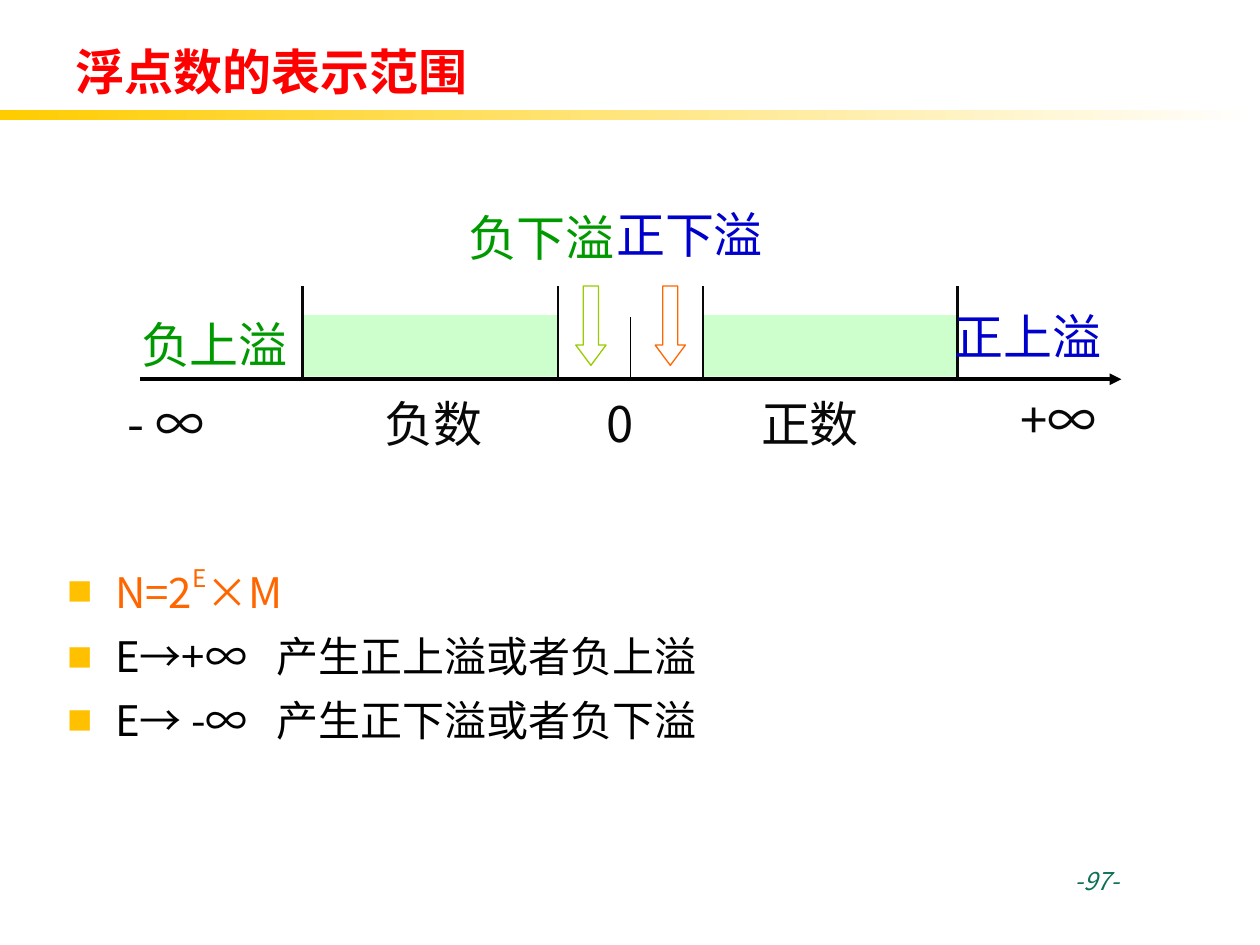
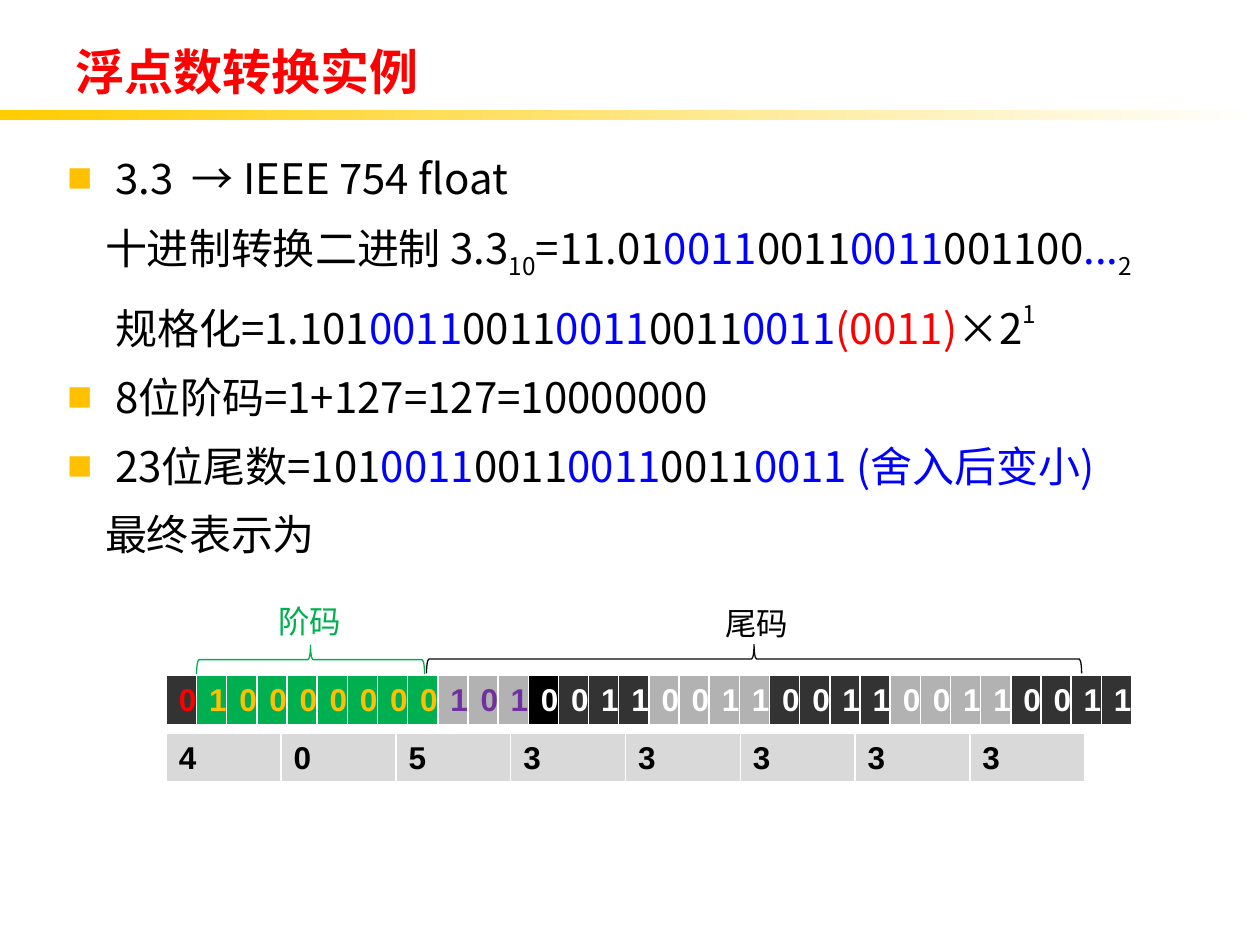
from itertools import chain, repeat
from lxml.etree import SubElement as Sub
from pptx import Presentation as Deck
from pptx.dml.color import RGBColor as Rgb
from pptx.enum.shapes import MSO_CONNECTOR as Link, MSO_SHAPE as Kind
from pptx.enum.text import MSO_ANCHOR as Anchor, PP_ALIGN as Align
from pptx.oxml.ns import qn
from pptx.util import Inches, Pt

HUES = {
    "red": "FF0000", "gold": "FFCC00", "amber": "FFC000", "white": "FFFFFF",
    "black": "000000", "ink": "080808", "orange": "FF6600", "lime": "99CC00",
    "leaf": "009900", "mint": "CCFFCC", "navy": "0000CC", "blue": "0000FF",
    "teal": "0D7157", "green": "00B050", "plum": "7030A0", "dark": "333333",
    "grey": "B2B2B2", "pale": "D9D9D9",
}
FONT = "Noto Sans CJK SC"


def hue(name):
    return Rgb.from_string(HUES[name])


def unit(count):
    """Length of grid steps: 100 columns by 75 rows on the slide."""
    return Inches(count / 10)


def write(par, text, size=28, color="black", font=FONT, bold=False,
          slant=False, base=0, align=None):
    """Add one run of text to a paragraph."""
    if align is not None:
        par.alignment = align
    run = par.add_run()
    run.text = text
    face = run.font
    face.size, face.bold, face.italic = Pt(size), bold, slant
    face.color.rgb = hue(color)
    face.name = font
    props = run._r.get_or_add_rPr()
    Sub(props, qn("a:ea")).set("typeface", font)
    if base:
        props.set("baseline", str(base * 1000))


class Page:
    def __init__(self, deck):
        self.deck = deck

    def start(self, title):
        """Open a slide with its band and title."""
        self.slide = self.deck.slides.add_slide(self.deck.slide_layouts[5])
        self.shapes = self.slide.shapes
        band = self.shape(Kind.RECTANGLE, 0, 8.75, 100, 0.8, fill="gold")
        band.fill.gradient()
        band.fill.gradient_angle = 0
        stops = band.fill.gradient_stops
        for stop, name, pos in zip(stops, ("gold", "white"), (0, 1)):
            stop.color.rgb = hue(name)
            stop.position = pos
        head = self.shapes.title
        head.left, head.top = unit(5), unit(2.4)
        head.width, head.height = unit(90), unit(6.4)
        head.text_frame.vertical_anchor = Anchor.MIDDLE
        write(head.text_frame.paragraphs[0], title, color="red", bold=True,
              align=Align.LEFT)

    def shape(self, kind, x, y, w, h, fill=None, line=None, turn=0):
        item = self.shapes.add_shape(kind, unit(x), unit(y), unit(w), unit(h))
        item.shadow.inherit = False
        item.rotation = turn
        if fill:
            item.fill.solid()
            item.fill.fore_color.rgb = hue(fill)
        else:
            item.fill.background()
        if line:
            item.line.color.rgb = hue(line)
            item.line.width = Pt(0.75)
        else:
            item.line.fill.background()
        return item

    def line(self, x1, y1, x2, y2, width, color="black", arrow=False):
        item = self.shapes.add_connector(
            Link.STRAIGHT, unit(x1), unit(y1), unit(x2), unit(y2))
        item.line.width = Pt(width)
        item.line.color.rgb = hue(color)
        if arrow:
            Sub(item.line._get_or_add_ln(), qn("a:tailEnd")).set("type", "triangle")
        Sub(item._element.spPr, qn("a:effectLst"))

    def frame(self, x, y, w, h, inset=1.0, wrap=True):
        box = self.shapes.add_textbox(unit(x), unit(y), unit(w), unit(h))
        frame = box.text_frame
        frame.word_wrap = wrap
        if inset != 1:
            frame.margin_left = frame.margin_right = unit(inset)
            frame.margin_top = frame.margin_bottom = unit(inset)
        return frame

    def label(self, text, x, y, w, h=4.9, **form):
        """Tight one-line label of the diagram."""
        par = self.frame(x, y, w, h, inset=0.1, wrap=False).paragraphs[0]
        par.line_spacing = 0.8
        write(par, text, **form)

    def note(self, text, x, y, w, h, **form):
        write(self.frame(x, y, w, h).paragraphs[0], text, **form)

    def body(self, x, y, w, h, rows, space):
        """Rows are (indent or None for a bullet, tab or None, runs)."""
        frame = self.frame(x, y, w, h)
        for num, (left, tab, runs) in enumerate(rows):
            par = frame.add_paragraph() if num else frame.paragraphs[0]
            par.line_spacing = space
            par.space_before = Pt(4.8 if num else 0)
            props = par._p.get_or_add_pPr()
            props.set("marL", str(unit(3.8 if left is None else left)))
            if left is None:
                props.set("indent", str(-unit(3.8)))
                tint = Sub(props, qn("a:buClr"))
                Sub(tint, qn("a:srgbClr")).set("val", HUES["amber"])
                Sub(props, qn("a:buFont")).set("typeface", "Arial")
                Sub(props, qn("a:buChar")).set("char", "■")
            else:
                props.set("indent", "0")
                Sub(props, qn("a:buNone"))
            if tab:
                stop = Sub(Sub(props, qn("a:tabLst")), qn("a:tab"))
                stop.set("pos", str(unit(tab)))
                stop.set("algn", "l")
            for text, form in runs:
                write(par, text, size=24, **form)

    def strip(self, x, y, w, h, cells):
        """One-row table; cells are (text, text colour, fill)."""
        grid = self.shapes.add_table(
            1, len(cells), unit(x), unit(y), unit(w), unit(h)).table
        grid.first_row = grid.horz_banding = False
        for num, (text, color, fill) in enumerate(cells):
            grid.columns[num].width = unit(w / len(cells))
            cell = grid.cell(0, num)
            cell.vertical_anchor = Anchor.MIDDLE
            write(cell.text_frame.paragraphs[0], text, size=18, color=color,
                  font="Arial", bold=True, align=Align.LEFT)
            props = cell._tc.get_or_add_tcPr()
            for side, width in zip("LRTB", (1, 1, 1, 3)):
                edge = Sub(props, qn("a:ln" + side), w=str(Pt(width)))
                tint = Sub(Sub(edge, qn("a:solidFill")), qn("a:srgbClr"))
                tint.set("val", HUES["white"])
            cell.fill.solid()
            cell.fill.fore_color.rgb = hue(fill)


def bits(lead, count, tail=()):
    """Lead run, then groups 0011 in blue and black by turns, then tail."""
    tones = ("blue", "black")
    groups = [("0011", {"color": tones[n % 2]}) for n in range(count)]
    return [(lead, {}), *groups, *tail]


def span(page):
    page.start("浮点数的表示范围")

    # Formula and its limits
    page.body(4.35, 43.8, 89.9, 22, [
        (None, None, [("N=2", {"color": "orange"}),
                      ("E", {"color": "orange", "base": 50}),
                      ("×M", {"color": "orange"})]),
        (None, 16.6, [("E→+∞\t产生正上溢或者负上溢", {})]),
        (None, 16.6, [("E→ -∞\t产生正下溢或者负下溢", {})]),
    ], space=1.1)
    page.note("-97-", 84.3, 68.2, 10.6, 5.2, size=14, color="teal", slant=True)

    # Names under the axis
    for text, x, y, w in (("- ∞", 10, 32, 6.8), ("+∞", 80.9, 31.7, 8.2),
                          ("负数", 30.4, 32, 9.5), ("正数", 60.3, 32, 9.5),
                          ("0", 48, 32, 4.1)):
        page.label(text, x, y, w, color="ink")

    # Axis, ranges and bounds
    page.line(11.1, 30.1, 89, 30.1, 2.25, arrow=True)
    page.line(50.05, 25.2, 50.05, 30.1, 0.25)
    for x in (24, 55.8):
        page.shape(Kind.RECTANGLE, x, 25, 20.2, 4.9, fill="mint")
    for x in (24, 44.3, 55.8, 76):
        page.line(x, 30.1, x, 22.7, 1.5, color="ink")

    # Overflow and underflow
    page.label("负上溢", 11.1, 25.75, 12.6, color="leaf")
    page.label("正上溢", 75.65, 25.1, 14.2, color="navy", font="Karla")
    page.label("负下溢", 37.05, 17.25, 13.5, color="leaf")
    page.label("正下溢", 48.8, 17, 13.5, color="navy")
    for x, tone in ((45.7, "lime"), (52, "orange")):
        arrow = page.shape(Kind.DOWN_ARROW, x, 22.7, 2.4, 6.3, line=tone)
        arrow.adjustments[1] = 0.67


def sample(page):
    page.start("浮点数转换实例")

    # Steps of the conversion
    page.body(4.35, 10.8, 92.1, 34.6, [
        (None, 9.9, [("3.3\t→ IEEE 754 float", {})]),
        (3, None, [("十进制转换二进制 3.3", {}), ("10", {"base": -25})]
         + bits("=11.01", 3, [("001100", {}), ("...", {"color": "blue"}),
                              ("2", {"base": -25})])),
        (3.8, None, bits("规格化=1.101", 5, [
            ("(0011)", {"color": "red"}), ("×2", {}), ("1", {"base": 50})])),
        (None, None, [("8位阶码=1+127=127=10000000", {})]),
        (None, None, bits("23位尾数=101", 5, [
            (" (舍入后变小)", {"color": "blue"})])),
        (3, None, [("最终表示为", {})]),
    ], space=1.2)

    # Bits: sign, exponent, fraction in groups of four
    tones = chain(repeat("red", 1), repeat("amber", 8), repeat("plum", 3),
                  repeat("white", 20))
    fills = chain(["dark"], ["green"] * 8, ["grey"] * 3, ["black"],
                  ["dark"] * 3, (["grey"] * 4 + ["dark"] * 4) * 2)
    page.strip(13.2, 53.6, 72.9, 4.05,
               list(zip("010000000101" + "0011" * 5, tones, fills)))

    # Braces and their names
    for text, x, y, high, mark, top, tone, ink in (
            ("阶码", 23.5, 43.3, 18.1, 21.05, 47.3, "green", "green"),
            ("尾码", 58.7, 26.3, 52, 56.5, 47.45, "ink", "black")):
        page.shape(Kind.RIGHT_BRACE, x, y, 2.3, high, line=tone, turn=270)
        page.note(text, mark, top, 7.1, 4, size=18, color=ink, font="Arial",
                  align=Align.CENTER)

    # Hex digits
    page.strip(13.2, 58.2, 72.9, 3.9,
               [(digit, "black", "pale") for digit in "40533333"])


def main():
    deck = Deck()
    deck.slide_width, deck.slide_height = unit(100), unit(75)
    page = Page(deck)
    span(page)
    sample(page)
    deck.save("out.pptx")


if __name__ == "__main__":
    main()
